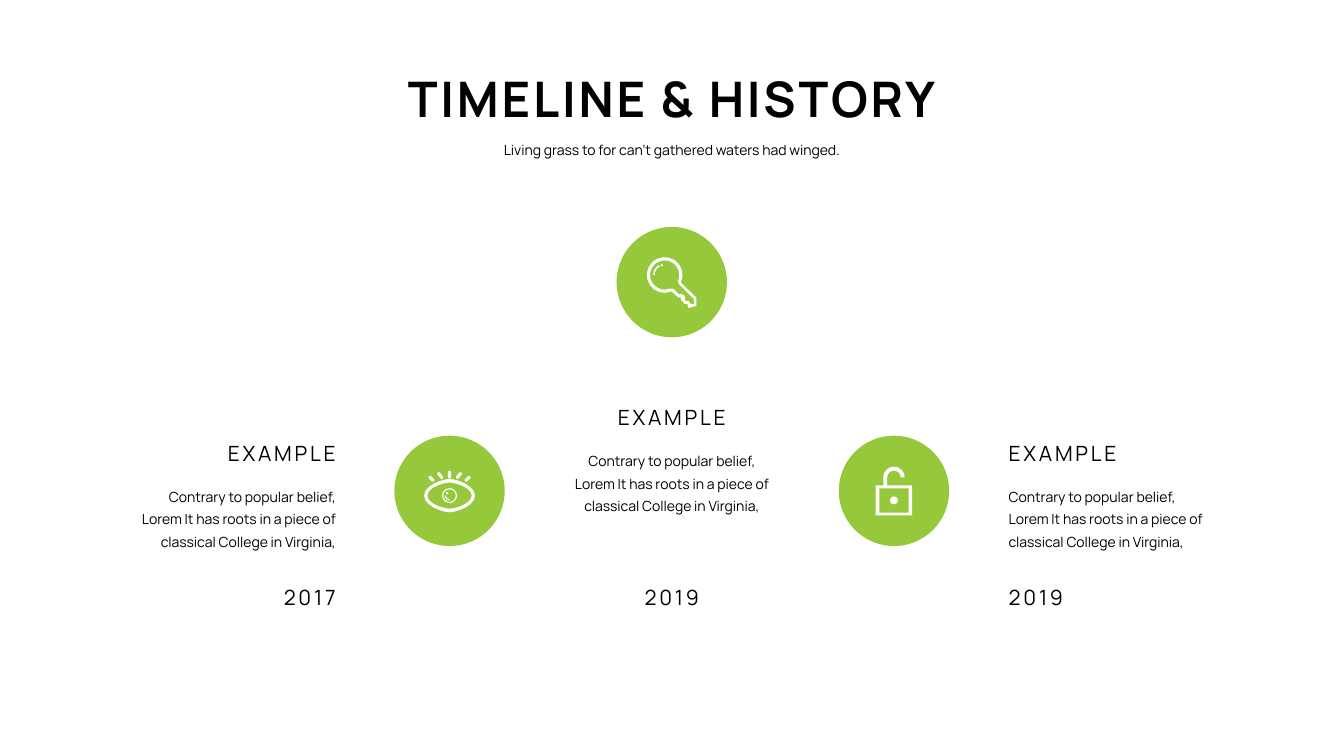
import math

import pptx
import pptx.dml.color
import pptx.enum.shapes
import pptx.enum.text
import pptx.util

Cm = pptx.util.Cm
Pt = pptx.util.Pt
ALIGN = pptx.enum.text.PP_ALIGN
BLACK, WHITE, GREEN = "000000", "FFFFFF", "96C83C"
FONT = "Manrope"
MIDDLE = 16.93
COPY = "Contrary to popular belief, Lorem It has roots in a piece of classical College in Virginia,"
SHARE = {ALIGN.LEFT: 0, ALIGN.CENTER: 0.5, ALIGN.RIGHT: 1}


def paint(shape, color):
    """Fill a shape with a flat colour, without line or shadow."""
    shape.shadow.inherit = False
    shape.line.fill.background()
    shape.fill.solid()
    shape.fill.fore_color.rgb = pptx.dml.color.RGBColor.from_string(color)


def write(slide, text, x, y, width, height, size=10, align=ALIGN.CENTER,
          bold=False, gap=0, lead=None, anchor=pptx.enum.text.MSO_ANCHOR.TOP):
    """Add a text box whose aligned edge or centre lies at x."""
    left = x - SHARE[align] * width
    box = slide.shapes.add_textbox(Cm(left), Cm(y), Cm(width), Cm(height))
    frame = box.text_frame
    frame.word_wrap = True
    frame.auto_size = pptx.enum.text.MSO_AUTO_SIZE.SHAPE_TO_FIT_TEXT
    frame.vertical_anchor = anchor
    line = frame.paragraphs[0]
    line.alignment = align
    if lead:
        line.line_spacing = Pt(lead)
    run = line.add_run()
    run.text = text
    run.font.name = FONT
    run.font.size = Pt(size)
    run.font.bold = bold
    run.font.color.rgb = pptx.dml.color.RGBColor.from_string(BLACK)
    if gap:
        run.font._element.set("spc", str(gap * 100))


def arc(x, y, wide, high, start=0, end=360, pinch=1):
    """Return points on an oval arc, with pinch above 1 narrowing its sides."""
    count = 4 * math.ceil(abs(end - start) / 360 * (1.5 + 6 * wide))
    points = []
    for step in range(count + 1):
        turn = math.radians(start + (end - start) * step / count)
        side = math.cos(turn)
        reach = math.copysign(abs(side) ** pinch, side)
        points.append((x + wide * reach, y + high * math.sin(turn)))
    return points


def disc(x, y, size):
    """Return the points of a full circle."""
    return arc(x, y, size, size)


def band(x, y, outer, inner, start, end):
    """Return the outline of a curved strip."""
    return arc(x, y, outer, outer, start, end) + arc(x, y, inner, inner, end, start)


def pill(x1, y1, x2, y2, size):
    """Return the outline of a short stroke with round ends."""
    turn = math.degrees(math.atan2(y2 - y1, x2 - x1))
    return (arc(x2, y2, size, size, turn - 90, turn + 90)
            + arc(x1, y1, size, size, turn + 90, turn + 270))


def block(wide, top, low):
    """Return the corners of a centred rectangle."""
    return [(-wide, top), (wide, top), (wide, low), (-wide, low)]


def eye():
    """Return the outlines of the eye icon."""
    lashes = [pill(0, -0.47, 0, -0.35, 0.04)]
    for side in (-1, 1):
        lashes.append(pill(side * 0.27, -0.43, side * 0.2, -0.34, 0.04))
        lashes.append(pill(side * 0.49, -0.34, side * 0.42, -0.27, 0.04))
    return lashes + [
        arc(0, 0.12, 0.64, 0.42, pinch=1.3),
        arc(0, 0.12, 0.56, 0.33, pinch=1.3),
        disc(0, 0.12, 0.19),
        disc(0, 0.12, 0.16),
        disc(-0.06, 0.06, 0.03),
        band(0, 0.12, 0.12, 0.09, 90, 180),
    ]


def key():
    """Return the outlines of the key icon."""
    rim = [(0.62, 0.39), (0.62, 0.6), (0.42, 0.65), (0.39, 0.55), (0.32, 0.55),
           (0.22, 0.42), (0.22, 0.37), (0.17, 0.39)]
    core = [(0.17, 0.04), (0.55, 0.42), (0.57, 0.55), (0.47, 0.55), (0.42, 0.47),
            (0.34, 0.47), (0.32, 0.34), (0.22, 0.29), (0.19, 0.32), (0.04, 0.17)]
    return [
        arc(-0.18, -0.18, 0.45, 0.45, 67, 385) + rim,
        arc(-0.18, -0.18, 0.37, 0.37, 67, 385) + core,
        disc(-0.25, -0.43, 0.03),
        band(-0.18, -0.18, 0.29, 0.25, 180, 240),
    ]


def lock():
    """Return the outlines of the open lock icon."""
    hoop = band(0, -0.34, 0.27, 0.17, 180, 360)
    return [
        [(-0.27, -0.14)] + hoop + [(-0.17, -0.14)],
        block(0.46, -0.14, 0.62),
        block(0.37, -0.06, 0.55),
        disc(0, 0.24, 0.1),
    ]


def badge(slide, x, y, icon, size=2.78):
    """Draw a green circle centred at a point with a white icon on it."""
    oval = pptx.enum.shapes.MSO_SHAPE.OVAL
    left, top = Cm(x - size / 2), Cm(y - size / 2)
    paint(slide.shapes.add_shape(oval, left, top, Cm(size), Cm(size)), GREEN)
    pen = None
    for part in icon:
        spots = [(Cm(x + across), Cm(y + down)) for across, down in part]
        if pen is None:
            pen = slide.shapes.build_freeform(*spots[0])
        else:
            pen.move_to(*spots[0])
        pen.add_line_segments(spots[1:], close=True)
    paint(pen.convert_to_shape(), WHITE)


def event(slide, x, y, align, year):
    """Write the heading, text and year of one event."""
    write(slide, "EXAMPLE", x, y, 3.91, 0.89, size=15, align=align, gap=2)
    write(slide, COPY, x, y + 1.07, 5.41, 1.93, align=align, lead=16)
    write(slide, year, x, 14.6, 3.91, 0.89, size=15, align=align, gap=2)


def main():
    """Build the timeline slide."""
    deck = pptx.Presentation()
    deck.slide_width, deck.slide_height = Cm(33.87), Cm(19.05)
    slide = deck.slides.add_slide(deck.slide_layouts[6])
    write(slide, "TIMELINE & HISTORY", MIDDLE, 1.6, 17.37, 1.75, size=35,
          bold=True, gap=2, anchor=pptx.enum.text.MSO_ANCHOR.MIDDLE)
    write(slide, "Living grass to for can't gathered waters had winged.",
          MIDDLE, 3.43, 11.68, 0.69)
    badge(slide, MIDDLE, 7.11, key())
    badge(slide, MIDDLE - 5.6, 12.37, eye())
    badge(slide, MIDDLE + 5.6, 12.37, lock())
    event(slide, MIDDLE - 8.22, 10.97, ALIGN.RIGHT, "2017")
    event(slide, MIDDLE, 10.08, ALIGN.CENTER, "2019")
    event(slide, MIDDLE + 8.24, 10.97, ALIGN.LEFT, "2019")
    deck.save("out.pptx")


if __name__ == "__main__":
    main()
